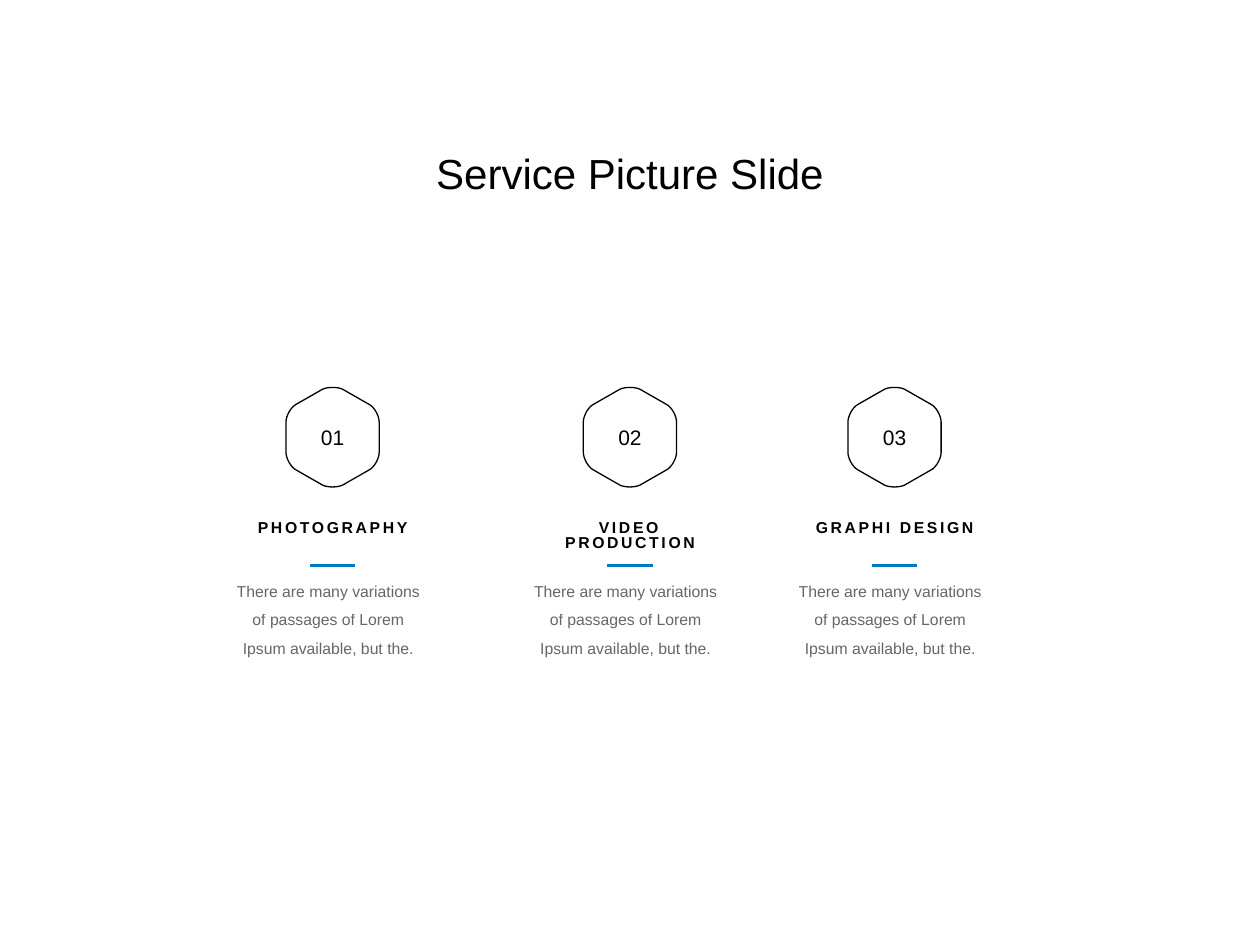
from dataclasses import dataclass

from lxml import etree
from pptx import Presentation
from pptx.dml.color import RGBColor
from pptx.enum.shapes import MSO_CONNECTOR
from pptx.enum.text import MSO_ANCHOR, MSO_AUTO_SIZE, PP_ALIGN
from pptx.oxml.ns import qn
from pptx.util import Inches, Pt

CENTER = PP_ALIGN.CENTER
MIDDLE = MSO_ANCHOR.MIDDLE
GROW = MSO_AUTO_SIZE.SHAPE_TO_FIT_TEXT
STRAIGHT = MSO_CONNECTOR.STRAIGHT


@dataclass(frozen=True)
class Theme:
    font: str = "Arial"
    ink: RGBColor = RGBColor(0, 0, 0)
    accent: RGBColor = RGBColor(0x00, 0x7A, 0xC4)
    title_size: int = 24
    number_size: int = 12
    text_size: int = 9
    body_opacity: int = 60
    heading_tracking: float = 1.5


THEME = Theme()
BODY = "There are many variations of passages of Lorem Ipsum available, but the."
SERVICES = [
    (2.64, "01", "PHOTOGRAPHY"),
    (5.00, "02", "VIDEO PRODUCTION"),
    (7.10, "03", "GRAPHI DESIGN"),
]
HEXAGON_Y = 3.47

# Bézier corners of the hexagon, as offsets from its centre
LEFT_CORNER = [(-0.37, -0.12), (-0.37, -0.17), (-0.33, -0.24), (-0.29, -0.26)]
TOP_CORNER = [(-0.08, -0.38), (-0.04, -0.40), (0.04, -0.40), (0.08, -0.38)]


def write_text(frame, text, size, bold=False, spacing=None):
    frame.text = text
    para = frame.paragraphs[0]
    para.alignment = CENTER
    if spacing:
        para.line_spacing = spacing
    span = para.runs[0]
    font = span.font
    font.name, font.size, font.bold = THEME.font, Pt(size), bold
    font.color.rgb = THEME.ink
    return span


def set_margins(frame, right=0):
    frame.margin_left = frame.margin_top = frame.margin_bottom = 0
    frame.margin_right = Inches(right)


def hexagon_points(center_x):
    """Four control points for each of the six corners, clockwise."""
    right_corner = [(-x, y) for x, y in reversed(LEFT_CORNER)]
    upper = LEFT_CORNER + TOP_CORNER + right_corner
    lower = [(-x, -y) for x, y in upper]
    return [(Inches(center_x + x), Inches(HEXAGON_Y + y)) for x, y in upper + lower]


def round_corners(shape):
    """Merge the three segments of each corner into one Bézier curve."""
    segments = list(shape._element.iter(qn("a:lnTo")))
    for first in range(0, len(segments), 4):
        corner = segments[first:first + 3]
        curve = etree.Element(qn("a:cubicBezTo"))
        corner[0].addprevious(curve)
        for segment in corner:
            curve.append(segment[0])
            segment.getparent().remove(segment)


def add_hexagon(group, center_x, number):
    start, *rest = hexagon_points(center_x)
    builder = group.shapes.build_freeform(*start)
    builder.add_line_segments(rest, close=True)
    hexagon = builder.convert_to_shape()
    round_corners(hexagon)
    hexagon.shadow.inherit = False
    hexagon.fill.background()
    hexagon.line.color.rgb = THEME.ink
    hexagon.line.width = Pt(0.75)
    frame = hexagon.text_frame
    set_margins(frame)
    frame.vertical_anchor = MIDDLE
    write_text(frame, number, THEME.number_size)


def add_text(group, center_x, top, width, height, text, right=0, **style):
    box = group.shapes.add_textbox(Inches(center_x - width / 2), Inches(top),
                                   Inches(width), Inches(height))
    frame = box.text_frame
    frame.word_wrap = True
    frame.auto_size = GROW
    set_margins(frame, right)
    return write_text(frame, text, THEME.text_size, **style)


def add_rule(group, center_x, y=4.49, width=0.36):
    rule = group.shapes.add_connector(STRAIGHT, Inches(center_x - width / 2), Inches(y),
                                      Inches(center_x + width / 2), Inches(y))
    rule.line.color.rgb = THEME.accent
    rule.line.width = Pt(2)
    etree.SubElement(rule._element.spPr, qn("a:effectLst"))


def add_service(page, center_x, number, heading):
    group = page.shapes.add_group_shape()
    add_hexagon(group, center_x, number)

    # Letter-spaced heading
    span = add_text(group, center_x, 4.14, 1.44, 0.12, heading, bold=True, spacing=0.8)
    span._r.get_or_add_rPr().set("spc", str(int(THEME.heading_tracking * 100)))

    # Translucent description
    span = add_text(group, center_x, 4.54, 1.64, 0.66, BODY, right=0.07, spacing=1.5)
    color = span._r.get_or_add_rPr().find(".//" + qn("a:srgbClr"))
    etree.SubElement(color, qn("a:alpha"), val=str(THEME.body_opacity * 1000))

    add_rule(group, center_x)


def add_title(page, text):
    title = page.shapes.title
    title.left, title.top = Inches(1.47), Inches(1.14)
    title.width, title.height = Inches(7.06), Inches(0.54)
    title.text_frame.vertical_anchor = MIDDLE
    write_text(title.text_frame, text, THEME.title_size, spacing=0.8)


def main():
    deck = Presentation()
    deck.slide_width, deck.slide_height = Inches(10), Inches(7.5)
    page = deck.slides.add_slide(deck.slide_layouts[5])
    add_title(page, "Service Picture Slide")
    for service in SERVICES:
        add_service(page, *service)
    deck.save("out.pptx")


if __name__ == "__main__":
    main()
